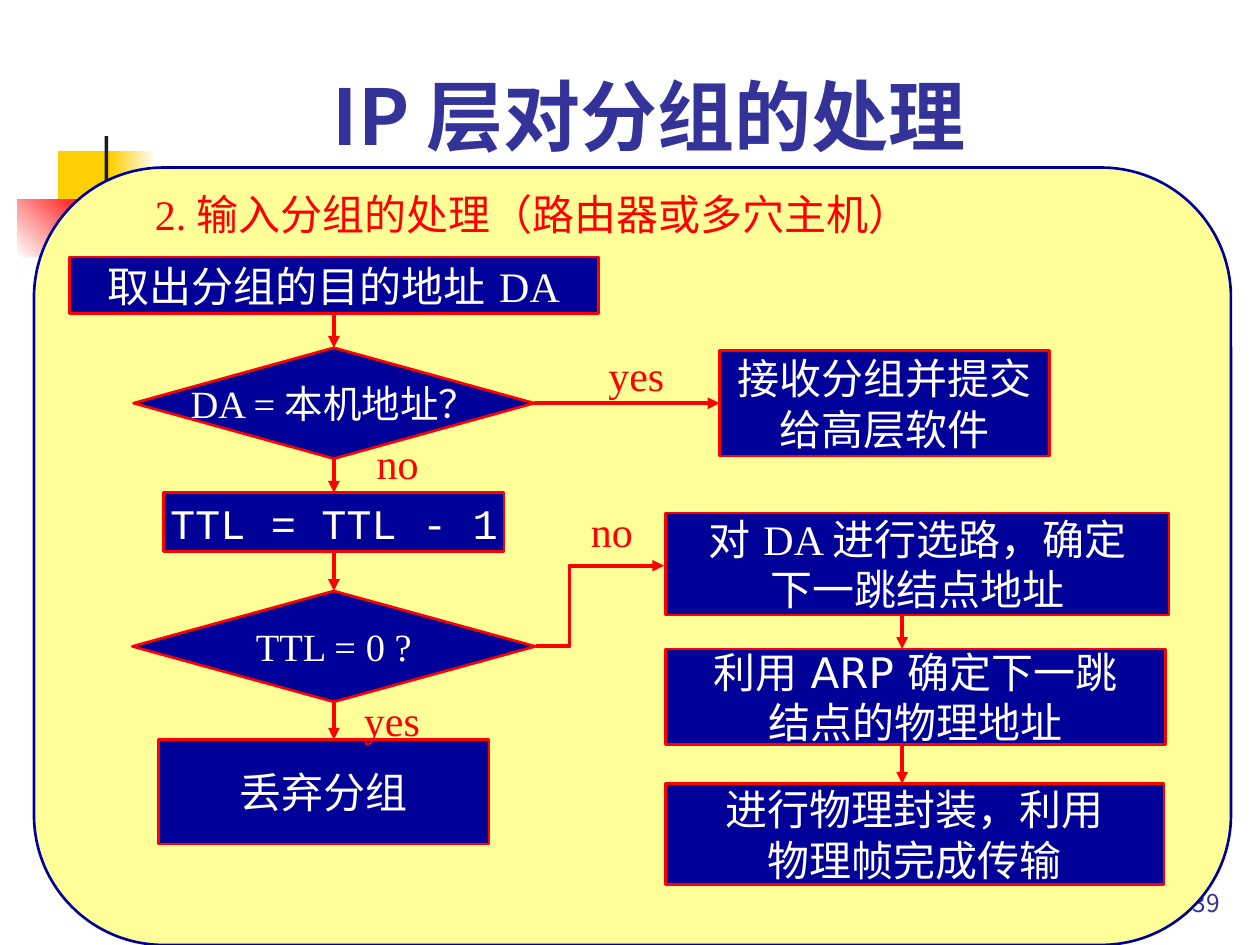
from lxml import etree
from pptx import Presentation
from pptx.dml.color import RGBColor
from pptx.enum import shapes, text
from pptx.oxml.ns import qn
from pptx.util import Inches, Pt

SERIF, SANS, CJK = "Times New Roman", "DejaVu Sans", "Noto Sans CJK JP"
NAVY, RED, WHITE, TITLE_BLUE = "000099", "FF0000", "FFFFFF", "333399"
FLOW_X, ROUTE_X = 2.65, 7.16
RECT, DIAMOND = shapes.MSO_SHAPE.RECTANGLE, shapes.MSO_SHAPE.DIAMOND
LEFT, CENTER, RIGHT = text.PP_ALIGN.LEFT, text.PP_ALIGN.CENTER, text.PP_ALIGN.RIGHT
MIDDLE, BOTTOM = text.MSO_ANCHOR.MIDDLE, text.MSO_ANCHOR.BOTTOM


def color(value):
    """Turn a hex string into a colour."""
    return RGBColor.from_string(value)


def write(holder, wording, size=24, font=SERIF, chinese=SANS, ink=WHITE, bold=False,
          align=CENTER, anchor=MIDDLE, wrap=False, inset=(0.1, 0.05)):
    """Write one paragraph per line of wording in a shape or text box."""
    frame = holder.text_frame
    frame.word_wrap, frame.vertical_anchor = wrap, anchor
    frame.margin_left = frame.margin_right = Inches(inset[0])
    frame.margin_top = frame.margin_bottom = Inches(inset[1])
    for index, line in enumerate(wording.split("\n")):
        paragraph = frame.add_paragraph() if index else frame.paragraphs[0]
        paragraph.alignment = align
        run = paragraph.add_run()
        run.text = line
        run.font.size, run.font.name, run.font.bold = Pt(size), font, bold
        run.font.color.rgb = color(ink)
        east_asian = etree.SubElement(run.font._element, qn("a:ea"))
        east_asian.set("typeface", chinese)


def label(slide, place, wording, **style):
    """Add a text box."""
    write(slide.shapes.add_textbox(*map(Inches, place)), wording, **style)


def block(slide, place, fill, kind=RECT, outline=None):
    """Add a filled shape, outlined if a colour is given."""
    shape = slide.shapes.add_shape(kind, *map(Inches, place))
    shape.shadow.inherit = False
    shape.fill.solid()
    shape.fill.fore_color.rgb = color(fill)
    if outline:
        shape.line.color.rgb = color(outline)
        shape.line.width = Pt(1.5)
    else:
        shape.line.fill.background()
    return shape


def fade(shape, start, end, angle):
    """Give a shape a two-colour gradient."""
    shape.fill.gradient()
    shape.fill.gradient_angle = angle
    for stop, value, position in zip(shape.fill.gradient_stops, (start, end), (0, 1)):
        stop.color.rgb, stop.position = color(value), position


def step(slide, place, wording, kind=RECT, **style):
    """Add a step or decision of the flowchart."""
    shape = block(slide, place, NAVY, kind, RED)
    write(shape, wording, **style)
    return shape


def point(line):
    """Colour a line red and put an arrowhead at its end."""
    line.color.rgb = color(RED)
    line.width = Pt(2.25)
    etree.SubElement(line._get_or_add_ln(), qn("a:tailEnd"), type="triangle")


def arrow(slide, start, end, source=None, target=None):
    """Add an arrow, joined to (shape, side) pairs where given."""
    link = slide.shapes.add_connector(
        shapes.MSO_CONNECTOR.STRAIGHT, *map(Inches, (*start, *end)))
    if source:
        link.begin_connect(*source)
    if target:
        link.end_connect(*target)
    point(link.line)
    etree.SubElement(link._element.spPr, qn("a:effectLst"))


def elbow(slide, corners):
    """Add an open bent arrow through the corners."""
    points = [(Inches(x), Inches(y)) for x, y in corners]
    builder = slide.shapes.build_freeform(*points[0])
    builder.add_line_segments(points[1:], close=False)
    bend = builder.convert_to_shape()
    bend.shadow.inherit = False
    bend.fill.background()
    point(bend.line)


def backdrop(slide):
    """Draw the corner ornament, page number, title and yellow card."""
    block(slide, (0.46, 1.2, 0.48, 0.52), "FFCF01")
    fade(block(slide, (0.88, 1.2, 0.36, 0.52), WHITE), "FFCF01", WHITE, 0)
    fade(block(slide, (0.14, 1.58, 0.61, 0.46), WHITE), WHITE, RED, 45)
    block(slide, (0.83, 1.08, 0.03, 1.15), "1C1C1C")
    label(slide, (7.7, 6.83, 2.08, 0.5), "39", size=14, font=CJK, chinese=CJK,
          ink=TITLE_BLUE, align=RIGHT, anchor=BOTTOM, wrap=True)
    label(slide, (1.61, -0.27, 7.09, 1.6), "IP 层对分组的处理", size=44, font=CJK,
          chinese=CJK, ink=TITLE_BLUE, bold=True, anchor=BOTTOM, wrap=True)
    card = block(slide, (0.27, 1.33, 9.5, 6.17), "FFFF99",
                 shapes.MSO_SHAPE.ROUNDED_RECTANGLE, NAVY)
    card.adjustments[0] = 0.167


def flowchart(slide):
    """Draw the steps, decisions and arrows."""
    fetch = step(slide, (0.55, 2.04, 4.2, 0.45), "取出分组的目的地址 DA",
                 wrap=True, inset=(0, 0))
    local = step(slide, (1.06, 2.76, 3.18, 0.88), "DA = 本机地址？", DIAMOND, size=22)
    accept = step(slide, (5.71, 2.78, 2.62, 0.84), "接收分组并提交\n给高层软件", font=SANS)
    decrement = step(slide, (1.3, 3.91, 2.7, 0.47), "TTL = TTL - 1", font="Courier New")
    expired = step(slide, (1.05, 4.69, 3.2, 0.88), "TTL = 0 ?", DIAMOND, size=22)
    step(slide, (1.26, 5.87, 2.62, 0.83), "丢弃分组", font=SANS)
    step(slide, (5.28, 4.07, 4, 0.81), "对 DA 进行选路，确定\n下一跳结点地址",
         wrap=True, inset=(0, 0))
    step(slide, (5.28, 5.15, 3.97, 0.76), "利用 ARP 确定下一跳\n结点的物理地址",
         font=SANS, wrap=True, inset=(0, 0))
    step(slide, (5.28, 6.22, 3.96, 0.8), "进行物理封装，利用\n物理帧完成传输",
         font=SANS, wrap=True, inset=(0.1, 0))

    arrow(slide, (FLOW_X, 2.49), (FLOW_X, 2.76), (fetch, 2), (local, 0))
    arrow(slide, (FLOW_X, 3.64), (FLOW_X, 3.91), (local, 2), (decrement, 0))
    arrow(slide, (FLOW_X, 4.38), (FLOW_X, 4.69), (decrement, 2), (expired, 0))
    arrow(slide, (FLOW_X, 5.57), (FLOW_X, 5.87), (expired, 2))
    arrow(slide, (4.24, 3.2), (5.71, 3.2), (local, 3), (accept, 1))
    for top, bottom in ((4.88, 5.15), (5.91, 6.22)):
        arrow(slide, (ROUTE_X, top), (ROUTE_X, bottom))
    elbow(slide, [(4.25, 5.13), (4.52, 5.13), (4.52, 4.49), (5.27, 4.49)])


def main():
    """Build and save the slide."""
    deck = Presentation()
    deck.slide_width, deck.slide_height = Inches(10), Inches(7.5)
    slide = deck.slides.add_slide(deck.slide_layouts[6])
    backdrop(slide)
    flowchart(slide)
    for place, wording in (
            ((1.13, 1.48, 7.22, 0.44), "2. 输入分组的处理（路由器或多穴主机）"),
            ((4.73, 2.76, 0.78, 0.42), "yes"),
            ((2.89, 3.46, 0.6, 0.42), "no"),
            ((4.59, 4, 0.62, 0.42), "no"),
            ((2.79, 5.5, 0.78, 0.42), "yes")):
        label(slide, place, wording, ink=RED, align=LEFT)
    deck.save("out.pptx")


if __name__ == "__main__":
    main()
